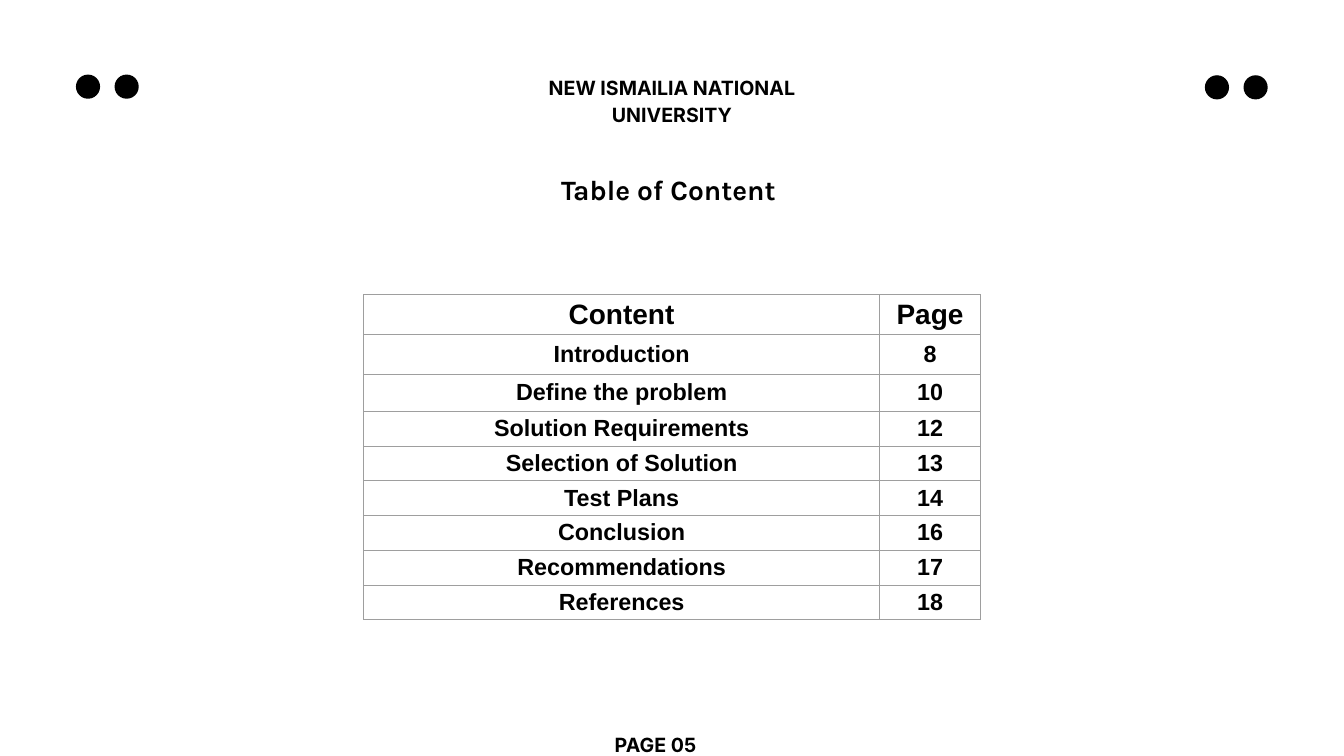
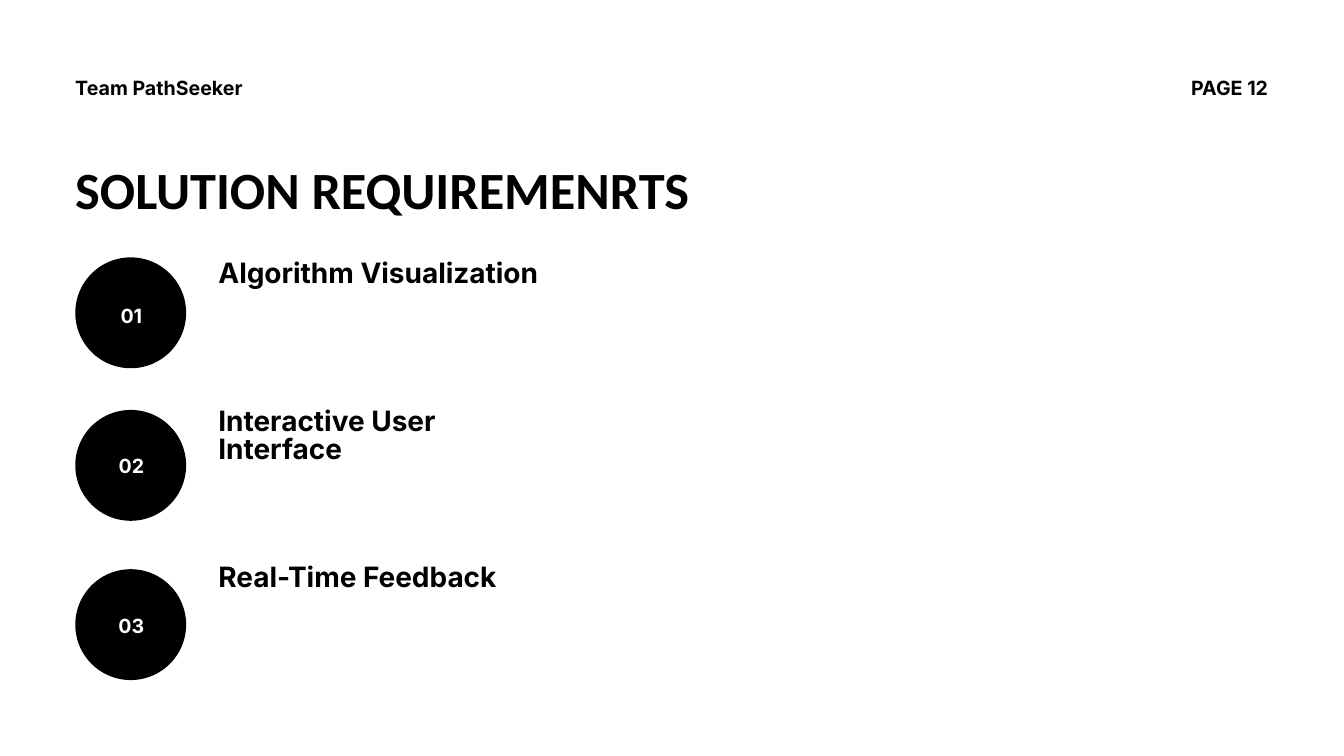
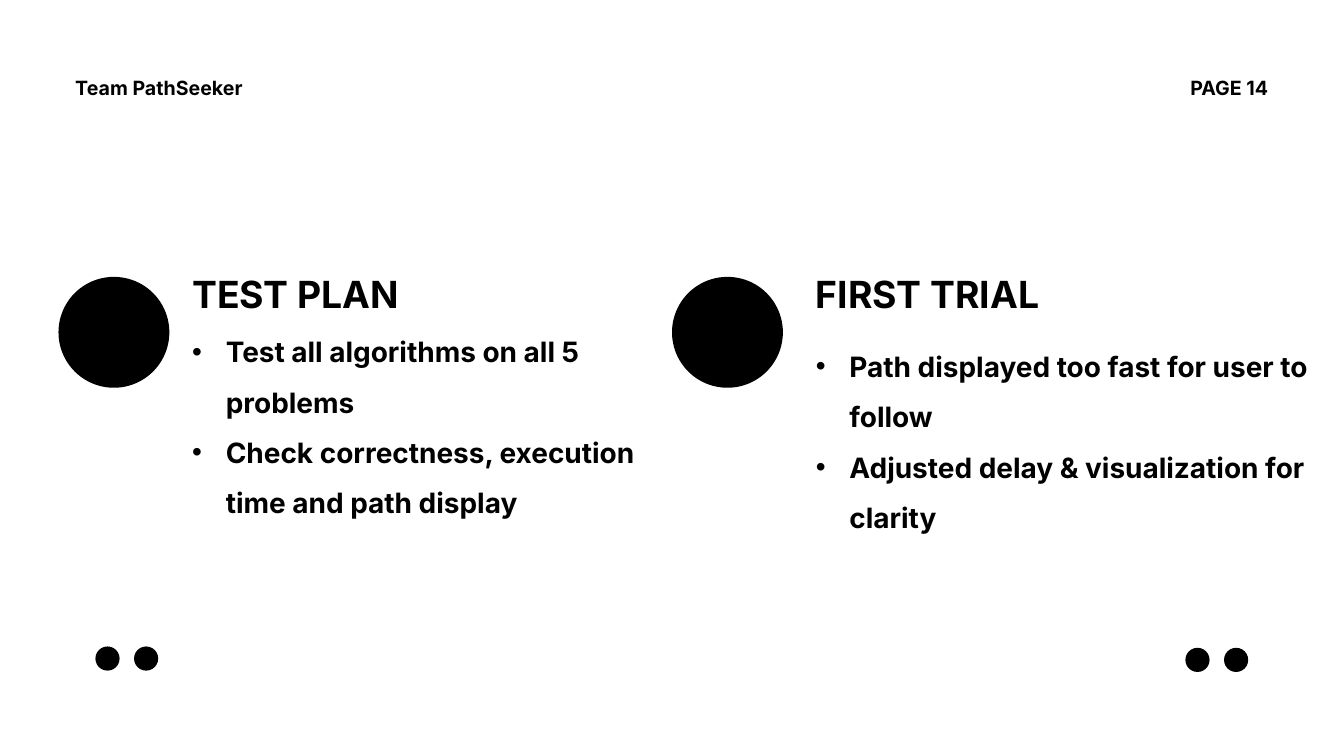
from lxml import etree
from pptx import Presentation
from pptx.dml.color import RGBColor
from pptx.enum import shapes, text
from pptx.oxml import ns
from pptx.util import Inches, Pt

COLORS = {"ink": "000000", "paper": "FFFFFF", "rule": "9E9E9E"}
LEFT, CENTER, RIGHT = text.PP_ALIGN.LEFT, text.PP_ALIGN.CENTER, text.PP_ALIGN.RIGHT
LEAD = Pt(29.4)
DISC = 1.65


def color(name):
    return RGBColor.from_string(COLORS[name])


def child(parent, tag, **attrs):
    return etree.SubElement(parent, ns.qn(tag), attrs)


class Deck:
    def __init__(self):
        self.prs = Presentation()
        self.prs.slide_width, self.prs.slide_height = Inches(20), Inches(11.25)
        self.slide = None

    def page(self):
        self.slide = self.prs.slides.add_slide(self.prs.slide_layouts[6])
        fill = self.slide.background.fill
        fill.solid()
        fill.fore_color.rgb = color("paper")

    def run(self, para, words, size, font, ink="ink"):
        run = para.add_run()
        run.text = words
        run.font.name, run.font.size, run.font.bold = font, Pt(size), True
        run.font.color.rgb = color(ink)

    def box(self, lines, x, y, w, h, size=21, font="Inter", ink="ink",
            align=LEFT, lead=LEAD, inset=False, bullet=False):
        frame = self.slide.shapes.add_textbox(
            Inches(x), Inches(y), Inches(w), Inches(h)).text_frame
        frame.word_wrap = True
        frame.auto_size = text.MSO_AUTO_SIZE.SHAPE_TO_FIT_TEXT
        if not inset:
            frame.margin_left = frame.margin_right = 0
            frame.margin_top = frame.margin_bottom = 0
        for i, line in enumerate(lines):
            para = frame.add_paragraph() if i else frame.paragraphs[0]
            para.alignment, para.line_spacing = align, lead
            if bullet:
                props = para._p.get_or_add_pPr()
                props.set("marL", str(Inches(0.5)))
                props.set("indent", str(-Inches(0.5)))
                child(props, "a:buFont", typeface="Arial")
                child(props, "a:buChar", char="•")
            self.run(para, line, size, font, ink)

    def disc(self, x, y, size=DISC):
        oval = self.slide.shapes.add_shape(
            shapes.MSO_SHAPE.OVAL, Inches(x), Inches(y), Inches(size), Inches(size))
        oval.shadow.inherit = False
        oval.fill.solid()
        oval.fill.fore_color.rgb = color("ink")
        oval.line.fill.background()

    def dots(self, x, y):
        for step in range(2):
            self.disc(x + step * 0.575, y, 0.36)

    def header(self, page):
        self.box(["Team PathSeeker"], 1.12, 1.07, 3.84, 0.38)
        self.box([page], 17.35, 1.07, 1.52, 0.38, align=RIGHT)

    def cell(self, cell, words, size):
        cell.vertical_anchor = text.MSO_ANCHOR.MIDDLE
        para = cell.text_frame.paragraphs[0]
        para.alignment = CENTER
        self.run(para, words, size, "Arial")
        props = cell._tc.get_or_add_tcPr()
        for side in ("L", "R", "T", "B"):
            line = child(props, f"a:ln{side}", w=str(Pt(0.75)))
            child(child(line, "a:solidFill"), "a:srgbClr", val=COLORS["rule"])
        cell.fill.background()

    def table(self, rows, x, y, widths, heights):
        grid = self.slide.shapes.add_table(
            len(rows), len(widths), Inches(x), Inches(y),
            Inches(sum(widths)), Inches(sum(heights))).table
        grid.first_row = grid.horz_banding = False
        for col, width in zip(grid.columns, widths):
            col.width = Inches(width)
        for i, (row, height) in enumerate(zip(rows, heights)):
            grid.rows[i].height = Inches(height)
            for j, words in enumerate(row):
                self.cell(grid.cell(i, j), words, 25 if i else 30)


def contents(deck):
    deck.page()
    deck.box(["NEW ISMAILIA NATIONAL UNIVERSITY"], 8.08, 1.07, 3.84, 0.81, align=CENTER)
    deck.dots(1.13, 1.11)
    deck.dots(17.93, 1.12)
    deck.box(["PAGE 05"], 8.84, 10.85, 1.52, 0.38, align=RIGHT)
    rows = [
        ("Content", "Page"),
        ("Introduction", "8"),
        ("Define the problem", "10"),
        ("Solution Requirements", "12"),
        ("Selection of Solution", "13"),
        ("Test Plans", "14"),
        ("Conclusion", "16"),
        ("Recommendations", "17"),
        ("References", "18"),
    ]
    deck.table(rows, 5.41, 4.38, [7.68, 1.5], [0.59, 0.59, 0.55] + [0.48] * 6)
    deck.box(["Table of Content"], 8.25, 2.52, 3.58, 0.61, size=30, font="Karla",
             lead=None, inset=True)


def needs(deck):
    deck.page()
    deck.header("PAGE 12")
    deck.box(["SOLUTION REQUIREMENRTS"], 1.12, 2.18, 11.46, 1.04, size=56,
             font="Calibri", lead=Pt(78.4))
    items = [
        ("Algorithm Visualization", 3.83, 3.9, 4.47),
        ("Interactive User Interface", 6.1, 6.1, 6.7),
        ("Real-Time Feedback", 8.47, 8.42, 9.07),
    ]
    for num, (label, top, head, mark) in enumerate(items, 1):
        deck.disc(1.12, top)
        deck.box([f"{num:02}"], 1.54, mark, 0.83, 0.38, ink="paper", align=CENTER)
        deck.box([label], 3.25, head, 5.16, 0.41, size=30)


def trials(deck):
    deck.page()
    deck.header("PAGE 14")
    deck.dots(1.42, 9.62)
    deck.dots(17.64, 9.64)
    plans = [
        ("TEST PLAN", 0.87, 2.86, 4.73, 7.29,
         ["Test all algorithms on all 5 problems",
          "Check correctness, execution time and path display"]),
        ("FIRST TRIAL", 10, 12.14, 4.95, 7.86,
         ["Path displayed too fast for user to follow",
          "Adjusted delay & visualization for clarity"]),
    ]
    for title, left, x, y, width, points in plans:
        deck.disc(left, 4.12)
        deck.box([title], x, 4.29, 4.34, 0.44, size=40)
        deck.box(points, x, y, width, 2.94, size=30, lead=1.5, bullet=True)


def main():
    deck = Deck()
    contents(deck)
    needs(deck)
    trials(deck)
    deck.prs.save("out.pptx")


if __name__ == "__main__":
    main()
